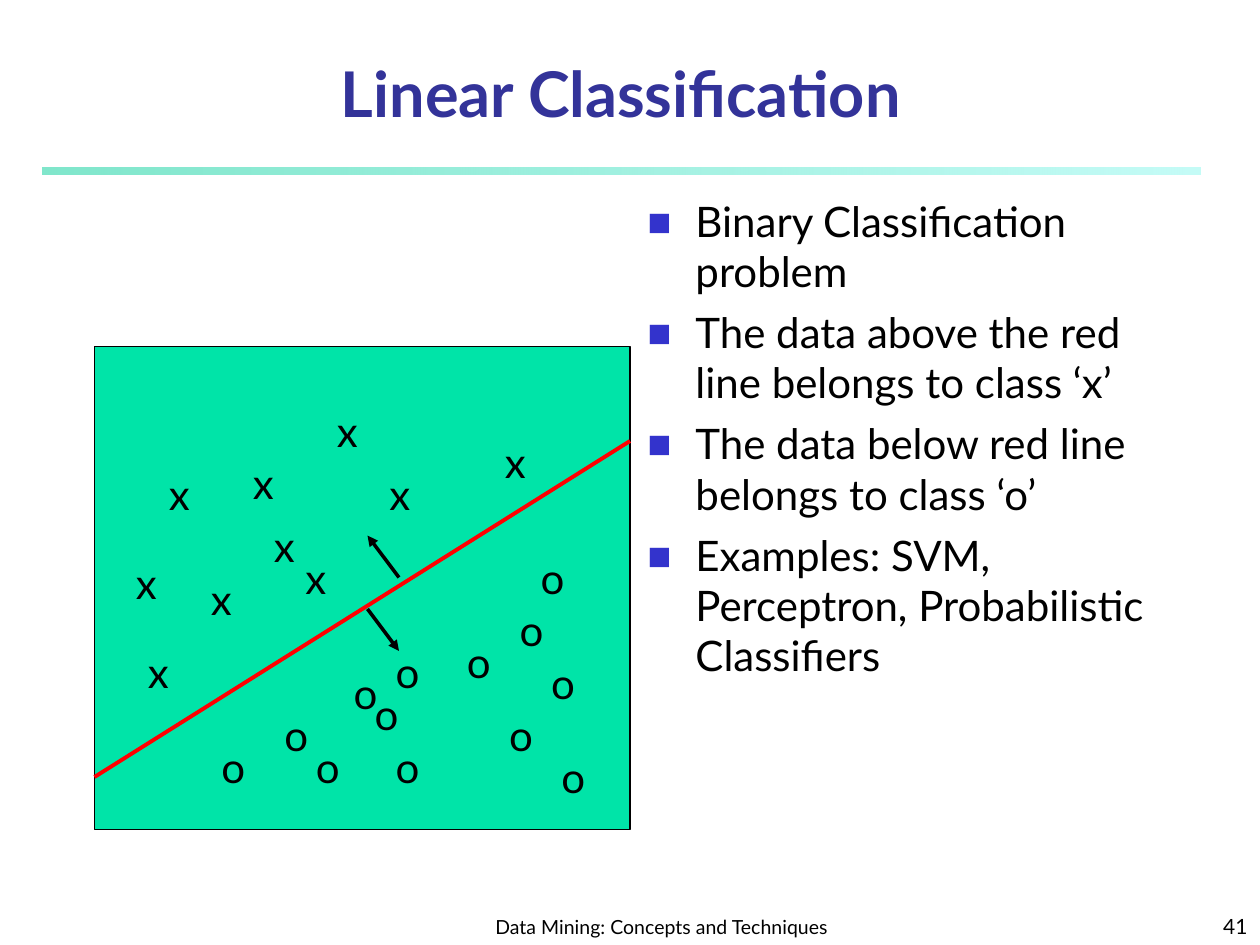
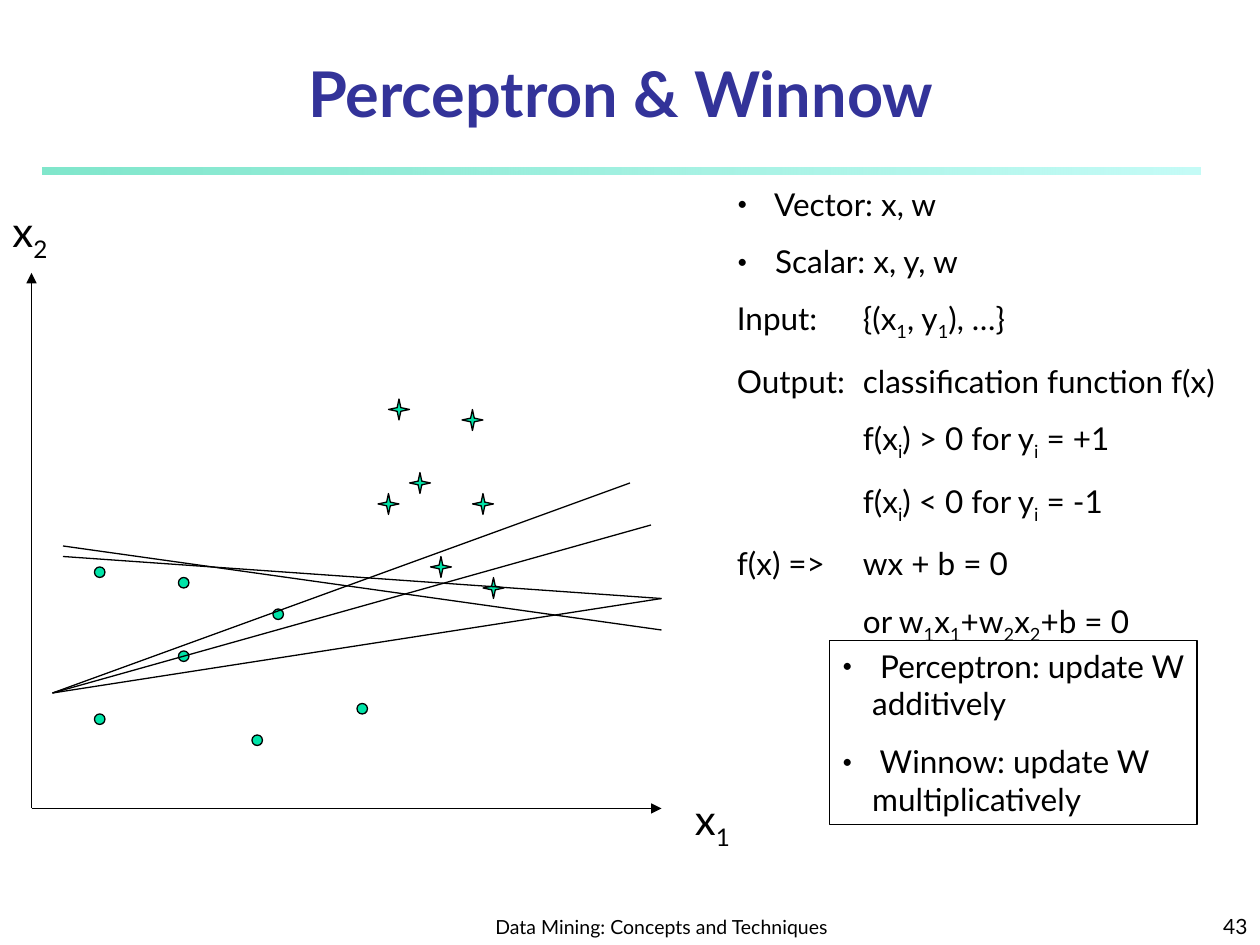
from dataclasses import dataclass
from typing import NamedTuple, Optional

from lxml.etree import SubElement
from pptx import Presentation
from pptx.dml.color import RGBColor
from pptx.enum.shapes import MSO_CONNECTOR, MSO_SHAPE
from pptx.enum.text import MSO_ANCHOR, MSO_AUTO_SIZE, PP_ALIGN
from pptx.oxml.ns import qn
from pptx.util import Emu, Inches, Pt

COLUMNS, ROWS = 120, 90
SLIDE_WIDTH, SLIDE_HEIGHT = Inches(10), Inches(7.5)
TITLE_ONLY = 5
FONT = "Lato"

BLACK = RGBColor(0x00, 0x00, 0x00)
RED = RGBColor(0xFF, 0x00, 0x00)
NAVY = RGBColor(0x33, 0x33, 0x99)
BLUE = RGBColor(0x33, 0x33, 0xCC)
GREEN = RGBColor(0x00, 0xE4, 0xA8)
BAR_START = RGBColor(0x00, 0xCE, 0x98)
BAR_END = RGBColor(0x8F, 0xF9, 0xEF)
BAR_OPACITY = (50, 52)


class Area(NamedTuple):
    column: float
    row: float
    columns: float
    rows: float


class Segment(NamedTuple):
    start: tuple
    end: tuple


@dataclass(frozen=True)
class Bullet:
    symbol: str
    color: RGBColor
    indent: float


@dataclass(frozen=True)
class Style:
    size: float
    color: RGBColor = BLACK
    bold: bool = False
    align: PP_ALIGN = PP_ALIGN.LEFT
    anchor: MSO_ANCHOR = MSO_ANCHOR.TOP
    space_before: float = 0
    wrap: bool = True


class Line(NamedTuple):
    text: str
    bullet: Optional[Bullet] = None


SQUARE = Bullet("■", BLUE, 0.38)
DOT = Bullet("•", BLACK, 0.24)

TITLE = Style(36, NAVY, bold=True, align=PP_ALIGN.CENTER, anchor=MSO_ANCHOR.BOTTOM)
FOOTER = Style(11.1, align=PP_ALIGN.CENTER, anchor=MSO_ANCHOR.BOTTOM)
PAGE_NUMBER = Style(12, align=PP_ALIGN.RIGHT, anchor=MSO_ANCHOR.BOTTOM)
BODY = Style(24, space_before=6)
MARK = Style(24, wrap=False)
AXIS_LABEL = Style(24)
FORMULA = Style(18, space_before=11.2)

TITLE_AREA = Area(4, 5, 110.25, 8)
BAR_AREA = Area(4, 16, 110.3, 0.65)
FOOTER_AREA = Area(44, 85, 38, 5)
NUMBER_AREA = Area(95, 85, 25, 5)

CLASS_POINTS = {
    "x": [(11.75, 52.5), (46.9, 41), (22.9, 43), (27.9, 52), (35.9, 44), (14.9, 44),
          (18.9, 54), (30.9, 38), (24.9, 49), (12.9, 61)],
    "o": [(32.5, 63), (34.5, 65), (36.5, 61), (25.9, 67), (36.5, 70), (47.3, 67),
          (50.3, 52), (43.3, 60), (19.9, 70), (28.9, 70), (51.3, 62),
          (48.3, 57), (52.3, 71)],
}
MARK_WIDTHS = {"x": 4.4, "o": 4.8}
SIDE_ARROWS = [Segment((38, 55), (35, 51)), Segment((35, 58), (38, 62))]

AXES = [Segment((3, 77), (63, 77)), Segment((3, 77), (3, 26))]
AXIS_LABELS = {"x_1_": (65, 75), "x_2_": (0, 19)}
CIRCLES = [(9, 54), (9, 68), (17, 55), (24, 70), (17, 62), (26, 58), (34, 67)]
STARS = [(39, 45), (45, 47), (41, 53), (37, 38), (36, 47), (46, 55), (44, 39)]
SEPARATORS = [
    Segment((60, 46), (5, 66)),
    Segment((5, 66), (62, 50)),
    Segment((5, 66), (63, 57)),
    Segment((63, 57), (6, 53)),
    Segment((6, 52), (63, 60)),
]


def across(columns: float) -> Emu:
    return Emu(round(SLIDE_WIDTH * columns / COLUMNS))


def down(rows: float) -> Emu:
    return Emu(round(SLIDE_HEIGHT * rows / ROWS))


def place(area: Area) -> tuple:
    return across(area.column), down(area.row), across(area.columns), down(area.rows)


def add_bullet(para, bullet: Bullet) -> None:
    properties = para._p.get_or_add_pPr()
    indent = Inches(bullet.indent)
    properties.set("marL", str(indent))
    properties.set("indent", str(-indent))
    color = SubElement(properties, qn("a:buClr"))
    SubElement(color, qn("a:srgbClr")).set("val", str(bullet.color))
    SubElement(properties, qn("a:buSzPct")).set("val", "60000")
    SubElement(properties, qn("a:buFont")).set("typeface", FONT)
    SubElement(properties, qn("a:buChar")).set("char", bullet.symbol)


def add_tab_stop(para) -> None:
    stops = SubElement(para._p.get_or_add_pPr(), qn("a:tabLst"))
    stop = SubElement(stops, qn("a:tab"))
    stop.set("pos", str(Inches(1)))
    stop.set("algn", "l")


def write(frame, lines: list, style: Style) -> None:
    frame.auto_size = MSO_AUTO_SIZE.NONE
    frame.word_wrap = style.wrap
    frame.vertical_anchor = style.anchor
    for index, line in enumerate(lines):
        para = frame.add_paragraph() if index else frame.paragraphs[0]
        if line.bullet:
            add_bullet(para, line.bullet)
        if "\t" in line.text:
            add_tab_stop(para)
        para.alignment = style.align
        para.space_before = Pt(style.space_before if index else 0)
        for part, text in enumerate(line.text.split("_")):
            if not text:
                continue
            span = para.add_run()
            span.text = text
            span.font.name = FONT
            span.font.size = Pt(style.size)
            span.font.bold = style.bold
            span.font.color.rgb = style.color
            if part % 2:
                span._r.get_or_add_rPr().set("baseline", "-25000")


def add_text(page, area: Area, lines: list, style: Style):
    box = page.shapes.add_textbox(*place(area))
    write(box.text_frame, lines, style)
    return box


def outline(shape) -> None:
    shape.line.color.rgb = BLACK
    shape.line.width = Pt(0.75)


def add_figure(page, kind: MSO_SHAPE, area: Area):
    figure = page.shapes.add_shape(kind, *place(area))
    figure.shadow.inherit = False
    figure.fill.solid()
    figure.fill.fore_color.rgb = GREEN
    outline(figure)
    return figure


def add_line(page, segment: Segment, color: RGBColor = BLACK,
             width: float = 0.75, arrow: bool = False) -> None:
    (left, top), (right, bottom) = segment
    connector = page.shapes.add_connector(
        MSO_CONNECTOR.STRAIGHT, across(left), down(top), across(right), down(bottom))
    connector.line.color.rgb = color
    connector.line.width = Pt(width)
    if arrow:
        SubElement(connector.line._get_or_add_ln(), qn("a:tailEnd")).set("type", "triangle")
    SubElement(connector._element.spPr, qn("a:effectLst"))


def add_title_bar(page) -> None:
    bar = page.shapes.add_shape(MSO_SHAPE.RECTANGLE, *place(BAR_AREA))
    bar.shadow.inherit = False
    bar.line.fill.background()
    bar.fill.gradient()
    bar.fill.gradient_angle = 0
    for stop, color in zip(bar.fill.gradient_stops, (BAR_START, BAR_END)):
        stop.color.rgb = color
    stop_colors = bar._element.spPr.iter(qn("a:srgbClr"))
    for stop_color, opacity in zip(stop_colors, BAR_OPACITY):
        SubElement(stop_color, qn("a:alpha")).set("val", str(opacity * 1000))


def add_page(deck, title: str, number: int):
    page = deck.slides.add_slide(deck.slide_layouts[TITLE_ONLY])
    heading = page.shapes.title
    heading.left, heading.top, heading.width, heading.height = place(TITLE_AREA)
    write(heading.text_frame, [Line(title)], TITLE)
    add_title_bar(page)
    add_text(page, FOOTER_AREA, [Line("Data Mining: Concepts and Techniques")], FOOTER)
    add_text(page, NUMBER_AREA, [Line(str(number))], PAGE_NUMBER)
    return page


def build_linear_classification(deck) -> None:
    page = add_page(deck, "Linear Classification", 41)
    points = [
        "Binary Classification problem",
        "The data above the red line belongs to class ‘x’",
        "The data below red line belongs to class ‘o’",
        "Examples: SVM, Perceptron, Probabilistic Classifiers",
    ]
    add_text(page, Area(60.5, 18, 54.5, 67), [Line(text, SQUARE) for text in points], BODY)
    add_figure(page, MSO_SHAPE.RECTANGLE, Area(9, 33, 51, 46))
    add_line(page, Segment((9, 74), (60, 42)), RED, 2.25)
    for mark, positions in CLASS_POINTS.items():
        for column, row in positions:
            add_text(page, Area(column, row, MARK_WIDTHS[mark], 6), [Line(mark)], MARK)
    for arrow in SIDE_ARROWS:
        add_line(page, arrow, width=2, arrow=True)


def build_perceptron_and_winnow(deck) -> None:
    page = add_page(deck, "Perceptron & Winnow", 43)
    definitions = [
        Line(" Vector: x, w", DOT),
        Line(" Scalar: x, y, w", DOT),
        Line("Input:\t{(x_1_, y_1_), …}"),
        Line("Output:\tclassification function f(x)"),
        Line("\tf(x_i_) > 0 for y_i_ = +1"),
        Line("\tf(x_i_) < 0 for y_i_ = -1"),
        Line("f(x) =>\twx + b = 0"),
        Line("\tor w_1_x_1_+w_2_x_2_+b = 0"),
    ]
    add_text(page, Area(69, 17, 51, 50.6), definitions, FORMULA)
    for axis in AXES:
        add_line(page, axis, arrow=True)
    for label, (column, row) in AXIS_LABELS.items():
        add_text(page, Area(column, row, 10, 6.7), [Line(label)], AXIS_LABEL)
    for column, row in CIRCLES:
        add_figure(page, MSO_SHAPE.OVAL, Area(column, row, 1, 1))
    for column, row in STARS:
        star = add_figure(page, MSO_SHAPE.STAR_4_POINT, Area(column, row, 2, 2))
        star.adjustments[0] = 0.125
    for separator in SEPARATORS:
        add_line(page, separator)
    updates = [
        Line(" Perceptron: update W additively", DOT),
        Line(" Winnow: update W multiplicatively", DOT),
    ]
    outline(add_text(page, Area(79, 61, 35, 17.5), updates, FORMULA))


def main() -> None:
    deck = Presentation()
    deck.slide_width, deck.slide_height = SLIDE_WIDTH, SLIDE_HEIGHT
    build_linear_classification(deck)
    build_perceptron_and_winnow(deck)
    deck.save("out.pptx")


if __name__ == "__main__":
    main()
